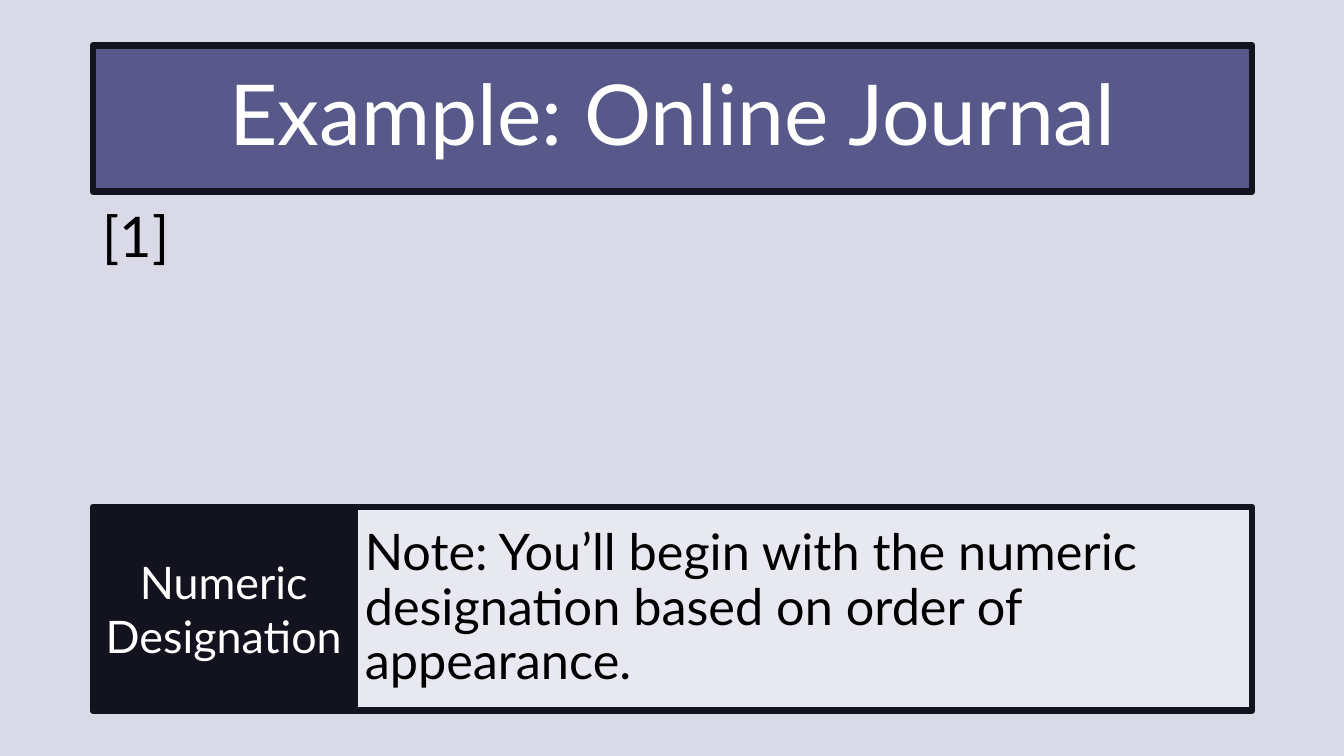
from lxml import etree
from pptx import Presentation
from pptx.dml.color import RGBColor
from pptx.enum import shapes, text
from pptx.oxml.ns import qn
from pptx.util import Inches, Pt

LAVENDER = RGBColor(0xD9, 0xD9, 0xE7)
PALE = RGBColor(0xE8, 0xE8, 0xF0)
PURPLE = RGBColor(0x58, 0x58, 0x8A)
NAVY = RGBColor(0x13, 0x13, 0x1F)
WHITE = RGBColor(0xFF, 0xFF, 0xFF)
BLACK = RGBColor(0, 0, 0)

TITLE = "Example: Online Journal"
CITATION = "[1]"
LABEL = ["Numeric", "Designation"]
NOTE = "Note: You’ll begin with the numeric designation based on order of appearance."

LEFT, WIDTH = 0.92, 11.5
TITLE_TOP, TITLE_HEIGHT = 0.45, 1.45
NOTE_TOP, NOTE_HEIGHT = 5.03, 2.02
LABEL_WIDTH = 2.6


def place(shape, left, top, width, height):
    shape.left, shape.top = Inches(left), Inches(top)
    shape.width, shape.height = Inches(width), Inches(height)


def write(shape, lines, size, color, align, spacing=1.0):
    frame = shape.text_frame
    frame.word_wrap = True
    frame.auto_size = text.MSO_AUTO_SIZE.NONE
    frame.vertical_anchor = text.MSO_ANCHOR.MIDDLE
    frame.text = "\n".join(lines)
    for para in frame.paragraphs:
        para.alignment = align
        para.line_spacing = spacing
        para.space_before = Pt(0)
        para.font.name = "Lato"
        para.font.size = Pt(size)
        para.font.color.rgb = color


def paint(shape, fill, rounded=True):
    """Fill the shape and give it the dark frame, with round corners if asked."""
    shape.fill.solid()
    shape.fill.fore_color.rgb = fill
    shape.line.color.rgb = NAVY
    shape.line.width = Pt(4.5)
    if rounded:
        etree.SubElement(shape.element.spPr.find(qn("a:ln")), qn("a:round"))


def add_panel(slide, left, width, fill, rounded=True):
    panel = slide.shapes.add_shape(
        shapes.MSO_SHAPE.RECTANGLE,
        Inches(left), Inches(NOTE_TOP), Inches(width), Inches(NOTE_HEIGHT))
    panel.shadow.inherit = False
    paint(panel, fill, rounded)
    return panel


def main():
    deck = Presentation()
    deck.slide_width, deck.slide_height = Inches(13.33), Inches(7.5)
    slide = deck.slides.add_slide(deck.slide_layouts[5])
    slide.background.fill.solid()
    slide.background.fill.fore_color.rgb = LAVENDER

    label = add_panel(slide, LEFT, LABEL_WIDTH, NAVY, rounded=False)
    write(label, LABEL, 32, WHITE, text.PP_ALIGN.CENTER)

    title = slide.shapes.title
    place(title, LEFT, TITLE_TOP, WIDTH, TITLE_HEIGHT)
    paint(title, PURPLE)
    write(title, [TITLE], 60, WHITE, text.PP_ALIGN.CENTER, 0.9)

    citation = slide.shapes.add_textbox(0, 0, 0, 0)
    place(citation, LEFT, TITLE_TOP + TITLE_HEIGHT, 0.91, 0.87)
    write(citation, [CITATION], 40, BLACK, text.PP_ALIGN.LEFT)

    note = add_panel(slide, LEFT + LABEL_WIDTH, WIDTH - LABEL_WIDTH, PALE)
    write(note, [NOTE], 36, BLACK, text.PP_ALIGN.LEFT, 0.9)

    deck.save("out.pptx")


if __name__ == "__main__":
    main()
